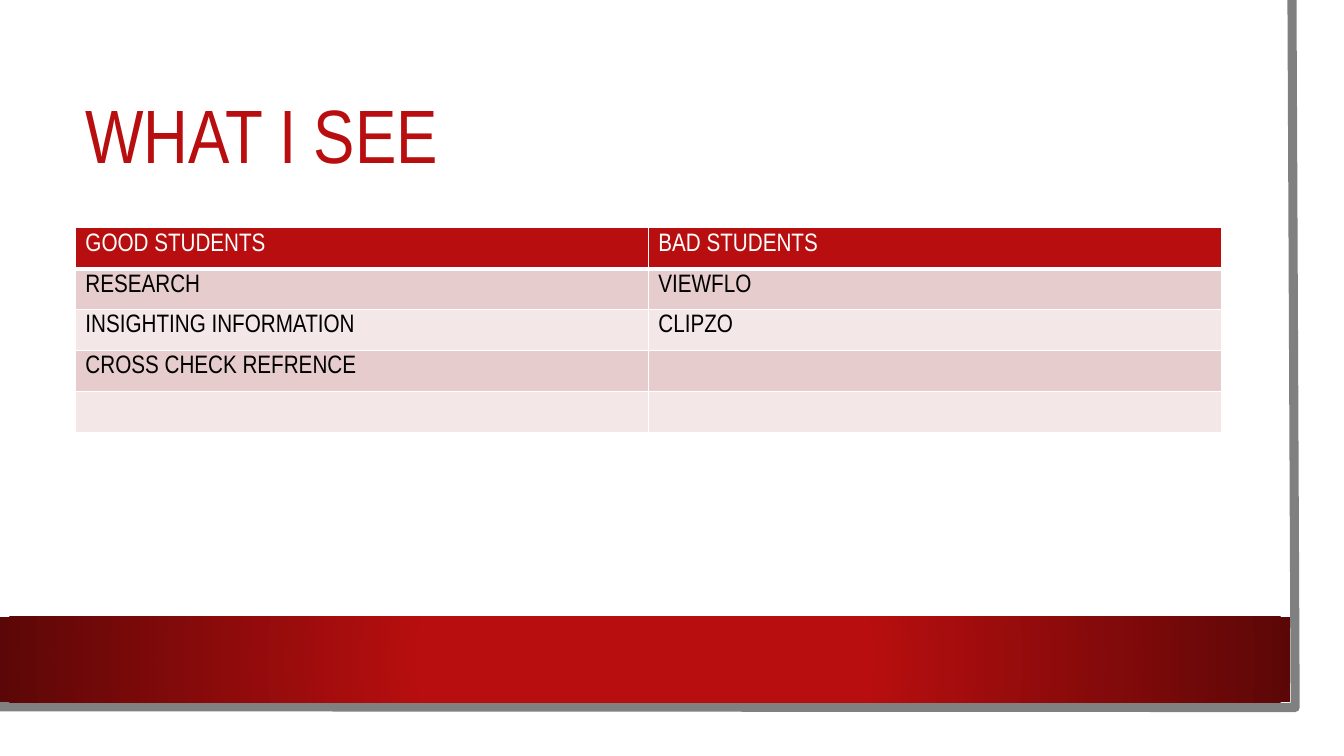
"""Build the slide comparing what good and bad students look at."""
from dataclasses import dataclass

from lxml.etree import SubElement
from pptx import Presentation
from pptx.dml.color import RGBColor
from pptx.enum.shapes import MSO_SHAPE
from pptx.enum.text import MSO_ANCHOR, PP_ALIGN
from pptx.oxml import parse_xml
from pptx.oxml.ns import nsdecls, qn
from pptx.util import Cm, Pt

TITLE = "WHAT I SEE"
ROWS = [
    ("GOOD STUDENTS", "BAD STUDENTS"),
    ("RESEARCH", "VIEWFLO"),
    ("INSIGHTING INFORMATION", "CLIPZO"),
    ("CROSS CHECK REFRENCE", ""),
    ("", ""),
]
SLIDE_SIZE = (33.87, 19.05)
PAPER_BOX = (0, 0, 33.27, 18.47)
BAND_BOX = (0, 15.54, 32.51, 2.16)
TITLE_BOX = (1.9, 1.9, 28.88, 3.2)
TABLE_LEFT, TABLE_TOP, TABLE_WIDTH, ROW_HEIGHT = 1.9, 5.74, 28.88, 1.03
FRAME_POINTS = [(32.56, 0), (32.64, 17.83), (-0.08, 17.81)]


@dataclass(frozen=True)
class Theme:
    """Colours, type and line sizes of the slide."""
    font: str = "Arial Narrow"
    title_size: int = 54
    cell_size: int = 18
    red: str = "B80E0F"
    dark_red: str = "5C0707"
    frame: str = "808080"
    white: str = "FFFFFF"
    black: str = "000000"
    bands: tuple = ("F3E7E7", "E6CCCC")
    frame_width: float = 6.5
    rule: int = 1
    header_rule: int = 3


THEME = Theme()


def apply_format(target, values):
    """Set each named attribute of the target."""
    for name, value in values.items():
        setattr(target, name, value)


def write(para, text, size, colour):
    """Add one formatted span to a paragraph."""
    span = para.add_run()
    span.text = text
    apply_format(span.font, {"name": THEME.font, "size": Pt(size), "bold": False})
    span.font.color.rgb = RGBColor.from_string(colour)


def add_box(page, place):
    """Add a plain rectangle without line or shadow."""
    box = page.shapes.add_shape(MSO_SHAPE.RECTANGLE, *map(Cm, place))
    box.shadow.inherit = False
    box.line.fill.background()
    return box


def add_backdrop(page):
    """Add the white paper, its grey frame and the red band."""
    paper = add_box(page, PAPER_BOX)
    paper.fill.solid()
    paper.fill.fore_color.rgb = RGBColor.from_string(THEME.white)

    start, *others = [(Cm(x), Cm(y)) for x, y in FRAME_POINTS]
    builder = page.shapes.build_freeform(*start)
    builder.add_line_segments(others, close=False)
    frame = builder.convert_to_shape()
    frame.shadow.inherit = False
    frame.fill.background()
    frame.line.width = Pt(THEME.frame_width)
    frame.line.color.rgb = RGBColor.from_string(THEME.frame)

    band = add_box(page, BAND_BOX)
    band.fill.gradient()
    stops = zip(band.fill.gradient_stops, (0.34, 1), (THEME.red, THEME.dark_red))
    for stop, position, colour in stops:
        stop.position = position
        stop.color.rgb = RGBColor.from_string(colour)
    gradient = band.element.spPr.find(qn("a:gradFill"))
    gradient.remove(gradient.find(qn("a:lin")))
    circle = SubElement(gradient, qn("a:path"), path="circle")
    SubElement(circle, qn("a:fillToRect"), dict.fromkeys("ltrb", "50000"))


def add_title(page):
    """Place the title in front of the backdrop."""
    title = page.shapes.title
    title.element.getparent().append(title.element)
    apply_format(title, dict(zip(("left", "top", "width", "height"), map(Cm, TITLE_BOX))))
    apply_format(title.text_frame, {"vertical_anchor": MSO_ANCHOR.MIDDLE, "word_wrap": True})
    para = title.text_frame.paragraphs[0]
    apply_format(para, {"alignment": PP_ALIGN.LEFT, "line_spacing": 0.9})
    write(para, TITLE, THEME.title_size, THEME.red)


def set_borders(cell, widths):
    """Draw white borders of the given point widths."""
    properties = cell._tc.get_or_add_tcPr()
    for index, (side, width) in enumerate(widths.items()):
        properties.insert(index, parse_xml(
            f'<a:ln{side} {nsdecls("a")} w="{Pt(width)}"><a:solidFill>'
            f'<a:srgbClr val="{THEME.white}"/></a:solidFill></a:ln{side}>'))


def add_comparison(page):
    """Add the table of students."""
    columns = len(ROWS[0])
    place = map(Cm, (TABLE_LEFT, TABLE_TOP, TABLE_WIDTH, ROW_HEIGHT * len(ROWS)))
    table = page.shapes.add_table(len(ROWS), columns, *place).table
    for column in table.columns:
        column.width = Cm(TABLE_WIDTH / columns)
    for row_index, texts in enumerate(ROWS):
        table.rows[row_index].height = Cm(ROW_HEIGHT)
        header = row_index == 0
        fill = THEME.red if header else THEME.bands[row_index % 2]
        ink = THEME.white if header else THEME.black
        widths = dict.fromkeys("LRTB", THEME.rule)
        if row_index < 2:
            widths["B" if header else "T"] = THEME.header_rule
        for column_index, text in enumerate(texts):
            cell = table.cell(row_index, column_index)
            cell.fill.solid()
            cell.fill.fore_color.rgb = RGBColor.from_string(fill)
            set_borders(cell, widths)
            if text:
                write(cell.text_frame.paragraphs[0], text, THEME.cell_size, ink)


def main():
    """Assemble and save the deck."""
    deck = Presentation()
    apply_format(deck, dict(zip(("slide_width", "slide_height"), map(Cm, SLIDE_SIZE))))
    page = deck.slides.add_slide(deck.slide_layouts[5])
    add_backdrop(page)
    add_title(page)
    add_comparison(page)
    deck.save("out.pptx")


if __name__ == "__main__":
    main()
